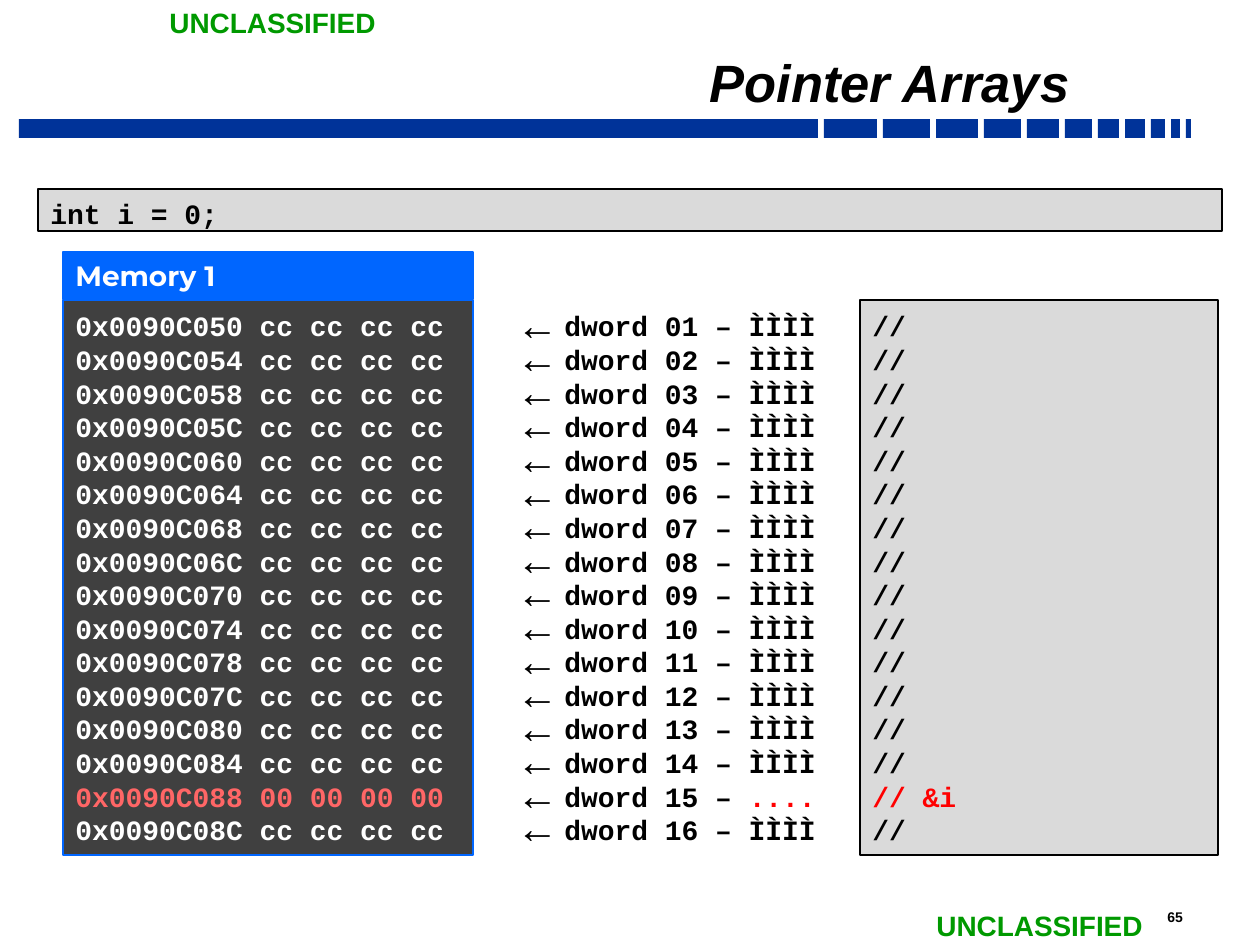
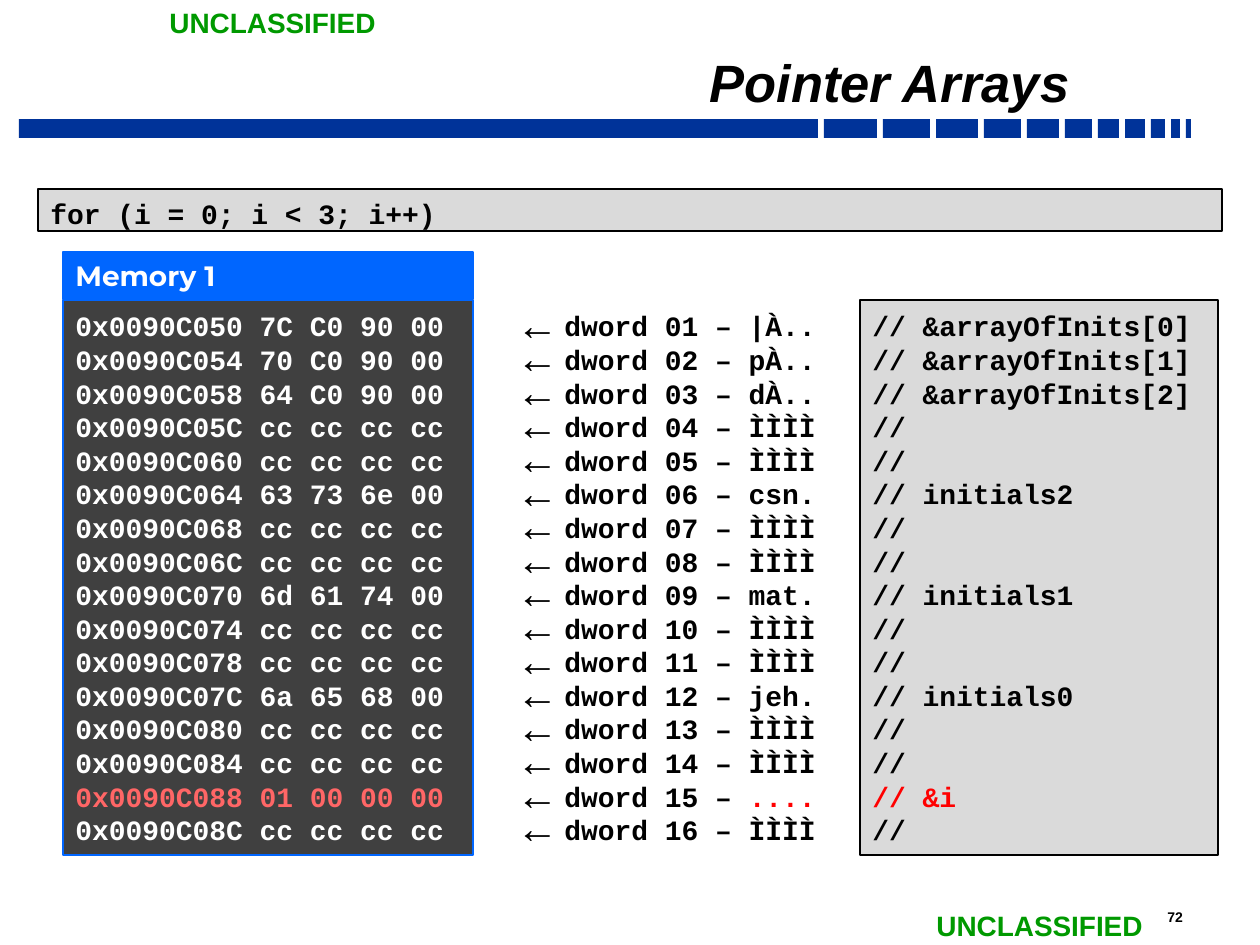
"""Build two slides that step through the memory behind a pointer array."""
from lxml.etree import SubElement
from pptx import Presentation
from pptx.dml.color import RGBColor
from pptx.enum.shapes import MSO_SHAPE
from pptx.enum.text import MSO_ANCHOR, PP_ALIGN
from pptx.oxml.ns import qn
from pptx.util import Emu, Pt

EMU_PER_PX = 914400 / 126
BLACK, WHITE, RED, PALE_RED = "000000", "FFFFFF", "FF0000", "FF6666"
NAVY, BLUE, GREEN = "003399", "0066FF", "009900"
DARK_GRAY, LIGHT_GRAY = "404040", "DADADA"
CODE_FONT, CODE_SPACING = "Courier New", Pt(19.2)

BAND_WIDTHS = [799, 53, 47, 42, 37, 32, 27, 21, 20, 14, 9, 5]
BAND_GAP = 6
CLASSIFICATION_PLACES = [(157, 0), (924, 903)]

FIRST_ADDRESS = 0x0090C050
ROW_COUNT = 16
CHANGED_ROW = 14
UNUSED = ("cc cc cc cc", "ÌÌÌÌ", "//")
STEPS = [
    ("65", "int i = 0;", {14: ("00 00 00 00", "....", "// &i")}),
    ("72", "for (i = 0; i < 3; i++)", {
        0: ("7C C0 90 00", "|À..", "// &arrayOfInits[0]"),
        1: ("70 C0 90 00", "pÀ..", "// &arrayOfInits[1]"),
        2: ("64 C0 90 00", "dÀ..", "// &arrayOfInits[2]"),
        5: ("63 73 6e 00", "csn.", "// initials2"),
        8: ("6d 61 74 00", "mat.", "// initials1"),
        11: ("6a 65 68 00", "jeh.", "// initials0"),
        14: ("01 00 00 00", "....", "// &i"),
    }),
]


def color(hex_string):
    return RGBColor.from_string(hex_string)


def add_box(slide, place, lines=(), fill=None, line=None, line_width=1, size=16,
            font=CODE_FONT, anchor=MSO_ANCHOR.TOP, top_inset=6, spacing=None):
    left, top, width, height = [Emu(round(length * EMU_PER_PX)) for length in place]
    if fill:
        shape = slide.shapes.add_shape(MSO_SHAPE.RECTANGLE, left, top, width, height)
        shape.shadow.inherit = False
        shape.fill.solid()
        shape.fill.fore_color.rgb = color(fill)
        if line:
            shape.line.color.rgb = color(line)
            shape.line.width = Pt(line_width)
        else:
            shape.line.fill.background()
    else:
        shape = slide.shapes.add_textbox(left, top, width, height)
    frame = shape.text_frame
    frame.word_wrap = True
    frame.vertical_anchor = anchor
    frame.margin_top = Emu(round(top_inset * EMU_PER_PX))
    for index, pieces in enumerate(lines):
        paragraph = frame.add_paragraph() if index else frame.paragraphs[0]
        paragraph.alignment = PP_ALIGN.LEFT
        if spacing:
            paragraph.line_spacing = spacing
        for text, text_color in pieces:
            run = paragraph.add_run()
            run.text = text
            run.font.name = font
            run.font.size = Pt(size)
            run.font.bold = True
            run.font.color.rgb = color(text_color)
    return shape


presentation = Presentation()
presentation.slide_width = Emu(round(1260 * EMU_PER_PX))
presentation.slide_height = Emu(round(945 * EMU_PER_PX))

for page_number, statement, used_rows in STEPS:
    slide = presentation.slides.add_slide(presentation.slide_layouts[6])

    band_left = 19
    for band_width in BAND_WIDTHS:
        add_box(slide, (band_left, 119, band_width, 19), fill=NAVY)
        band_left += band_width + BAND_GAP

    add_box(slide, (1155, 903, 68, 29), [[(page_number, BLACK)]], size=8, font="Arial")
    for left, top in CLASSIFICATION_PLACES:
        label = add_box(slide, (left, top, 234, 47), [[("UNCLASSIFIED", GREEN)]], font="Arial")
        label.text_frame.word_wrap = False

    title = add_box(slide, (210, 44, 872, 74), [[("Pointer Arrays", BLACK)]], size=30,
                    font="Arial", anchor=MSO_ANCHOR.BOTTOM, spacing=0.7)
    title_paragraph = title.text_frame.paragraphs[0]
    title_paragraph.alignment = PP_ALIGN.RIGHT
    title_paragraph.runs[0].font.italic = True

    memory_lines, dword_lines, comment_lines = [], [], []
    for row in range(ROW_COUNT):
        row_bytes, characters, comment = used_rows.get(row, UNUSED)
        changed = row == CHANGED_ROW
        address = f"0x{FIRST_ADDRESS + 4 * row:08X}"
        memory_lines.append([(f"{address} {row_bytes}", PALE_RED if changed else WHITE)])
        dword_lines.append([(f"dword {row + 1:02d} – ", BLACK),
                            (characters, RED if changed else BLACK)])
        comment_lines.append([(comment, RED if changed else BLACK)])

    add_box(slide, (63, 252, 410, 47), [[("Memory 1", WHITE)]], BLUE, BLUE, 0.75,
            font="Montserrat", anchor=MSO_ANCHOR.MIDDLE)
    add_box(slide, (63, 300, 410, 555), memory_lines, DARK_GRAY, BLUE, 0.75,
            top_inset=9, spacing=CODE_SPACING)

    dwords = add_box(slide, (504, 300, 716, 555), dword_lines,
                     top_inset=9, spacing=CODE_SPACING)
    indent = round(48 * EMU_PER_PX)
    for paragraph in dwords.text_frame.paragraphs:
        properties = paragraph._p.get_or_add_pPr()
        properties.set("marL", str(indent))
        properties.set("indent", str(-indent))
        bullet_color = SubElement(properties, qn("a:buClr"))
        SubElement(bullet_color, qn("a:srgbClr"), val=BLACK)
        SubElement(properties, qn("a:buSzPct"), val="150000")
        SubElement(properties, qn("a:buFont"), typeface="Arial")
        SubElement(properties, qn("a:buChar"), char="←")

    add_box(slide, (38, 189, 1184, 42), [[(statement, BLACK)]], LIGHT_GRAY, BLACK,
            top_inset=8, spacing=CODE_SPACING)
    add_box(slide, (860, 300, 358, 555), comment_lines, LIGHT_GRAY, BLACK,
            top_inset=9, spacing=CODE_SPACING)

presentation.save("out.pptx")
